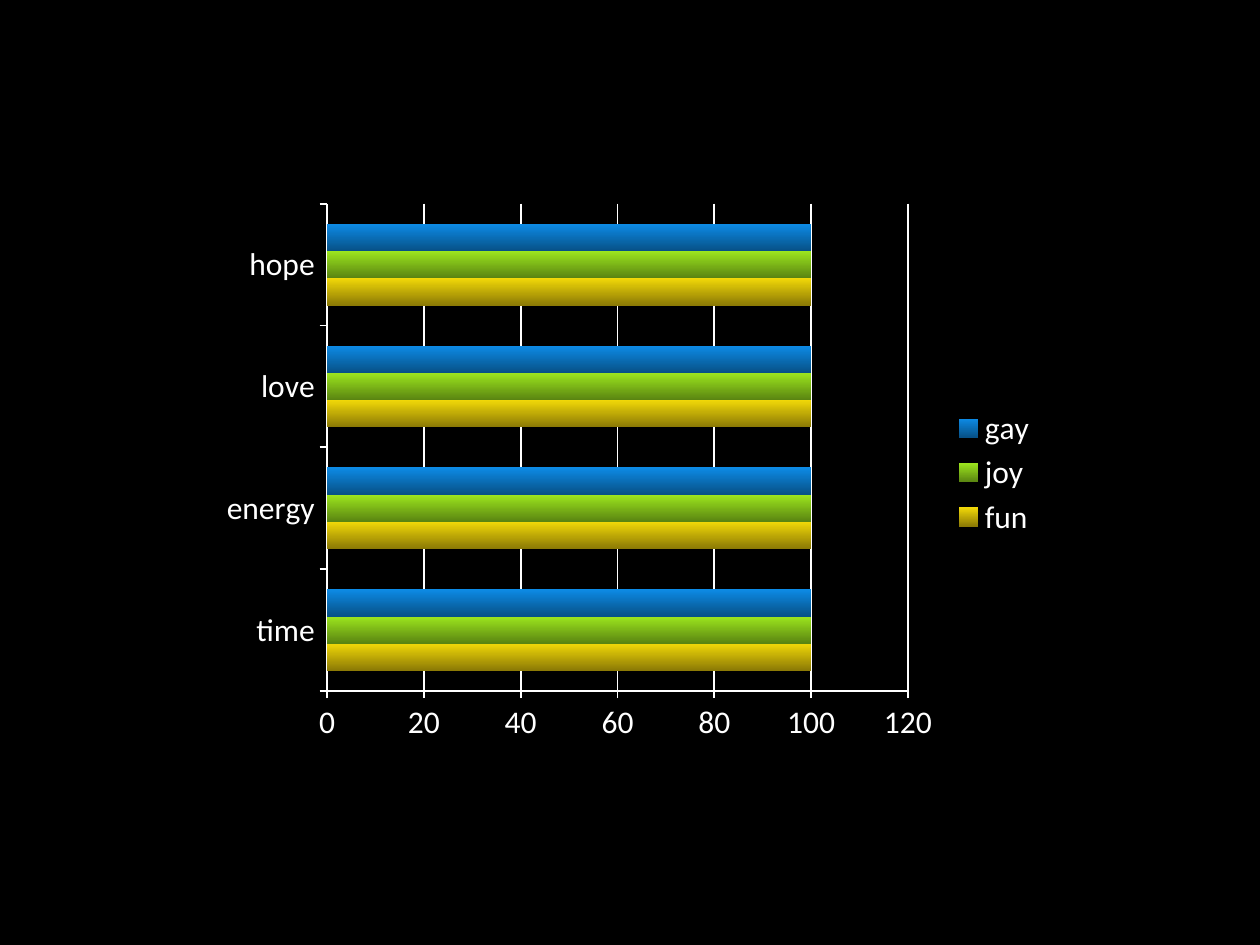
from pptx import Presentation
from pptx.chart.data import CategoryChartData
from pptx.dml.color import RGBColor
from pptx.enum.chart import XL_CHART_TYPE, XL_LEGEND_POSITION, XL_TICK_MARK
from pptx.util import Pt

BLACK = RGBColor(0x00, 0x00, 0x00)
WHITE = RGBColor(0xFF, 0xFF, 0xFF)
YELLOW = RGBColor(0xF2, 0xD9, 0x08)
DARK_YELLOW = RGBColor(0x8C, 0x7A, 0x05)
GREEN = RGBColor(0x9D, 0xE6, 0x1E)
DARK_GREEN = RGBColor(0x5A, 0x85, 0x11)
BLUE = RGBColor(0x0D, 0x8B, 0xE6)
DARK_BLUE = RGBColor(0x07, 0x51, 0x87)

CATEGORIES = ["time", "energy", "love", "hope"]
SERIES = {
    "fun": (YELLOW, DARK_YELLOW),
    "joy": (GREEN, DARK_GREEN),
    "gay": (BLUE, DARK_BLUE),
}
VALUES = [100] * len(CATEGORIES)


def apply_format(target, values):
    for name, value in values.items():
        setattr(target, name, value)


class SlideBuilder:
    font_format = {"name": "Calibri", "size": Pt(18), "bold": False}
    line_width = Pt(1)

    def __init__(self, presentation):
        self.slide = presentation.slides.add_slide(presentation.slide_layouts[6])

    def background(self, color):
        fill = self.slide.background.fill
        fill.solid()
        fill.fore_color.rgb = color

    def line(self, line):
        line.color.rgb = WHITE
        line.width = self.line_width

    def axis(self, axis, values):
        apply_format(axis, values)
        self.line(axis.format.line)

    def gradient(self, fill, colors):
        fill.gradient()
        fill.gradient_angle = 270
        for stop, color in zip(fill.gradient_stops, colors):
            stop.color.rgb = color

    def bar_chart(self, left, top, width, height):
        chart_data = CategoryChartData()
        chart_data.categories = CATEGORIES
        for name in SERIES:
            chart_data.add_series(name, VALUES)
        chart = self.slide.shapes.add_chart(
            XL_CHART_TYPE.BAR_CLUSTERED,
            Pt(left), Pt(top), Pt(width), Pt(height), chart_data,
        ).chart
        apply_format(chart, {"has_title": False, "has_legend": True})
        apply_format(chart.font, self.font_format)
        chart.font.color.rgb = WHITE
        apply_format(chart.legend, {
            "position": XL_LEGEND_POSITION.RIGHT,
            "include_in_layout": False,
        })
        ticks = {
            "major_tick_mark": XL_TICK_MARK.OUTSIDE,
            "minor_tick_mark": XL_TICK_MARK.NONE,
        }
        self.axis(chart.category_axis, ticks)
        self.axis(chart.value_axis, {
            **ticks,
            "minimum_scale": 0,
            "maximum_scale": 120,
            "major_unit": 20,
            "has_major_gridlines": True,
        })
        self.line(chart.value_axis.major_gridlines.format.line)
        plot = chart.plots[0]
        apply_format(plot, {"gap_width": 150, "overlap": 0, "vary_by_categories": False})
        for series in plot.series:
            self.gradient(series.format.fill, SERIES[series.name])


def main():
    presentation = Presentation()
    apply_format(presentation, {"slide_width": Pt(720), "slide_height": Pt(540)})
    builder = SlideBuilder(presentation)
    builder.background(BLACK)
    builder.bar_chart(120, 110, 480, 320)
    presentation.save("out.pptx")


if __name__ == "__main__":
    main()
